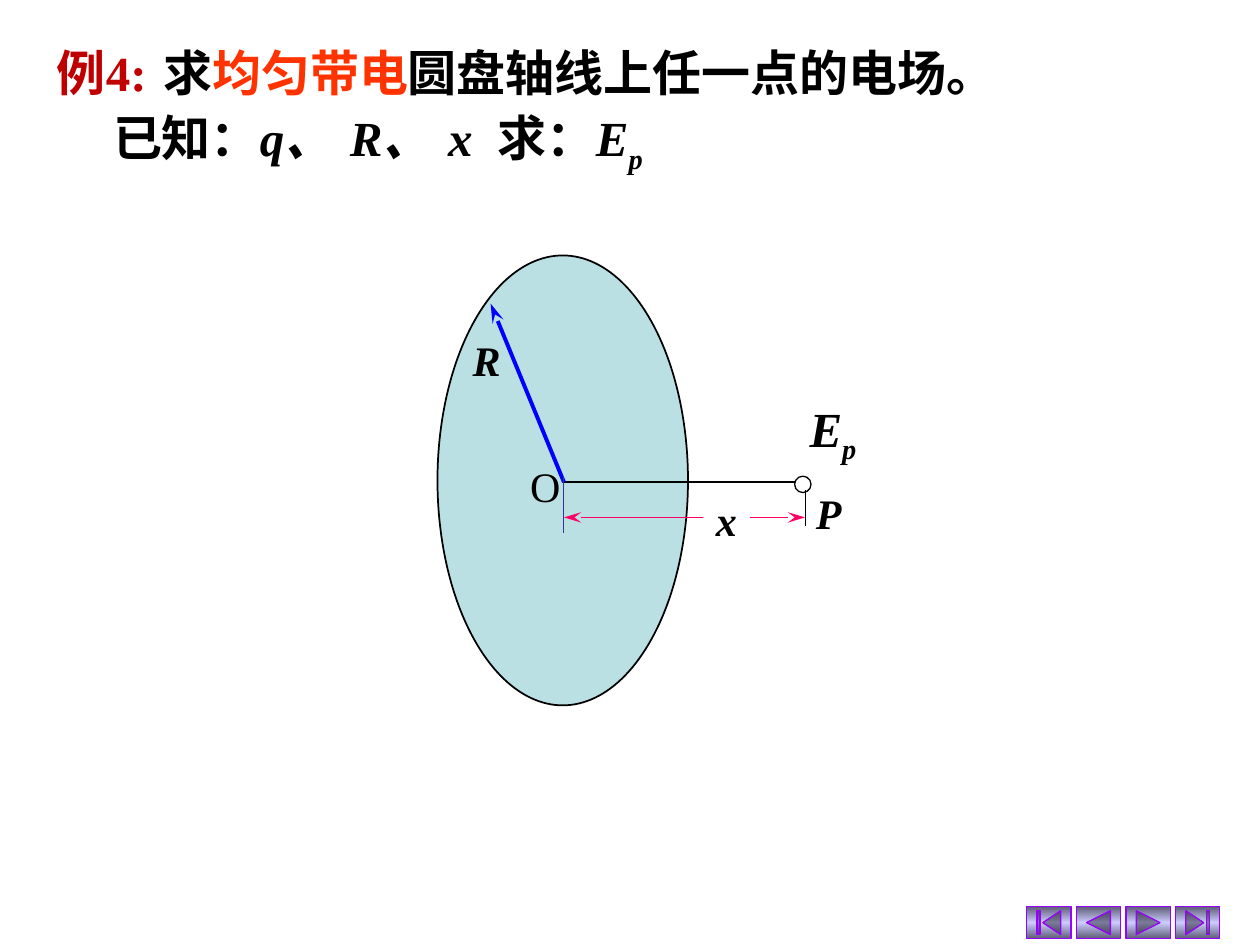
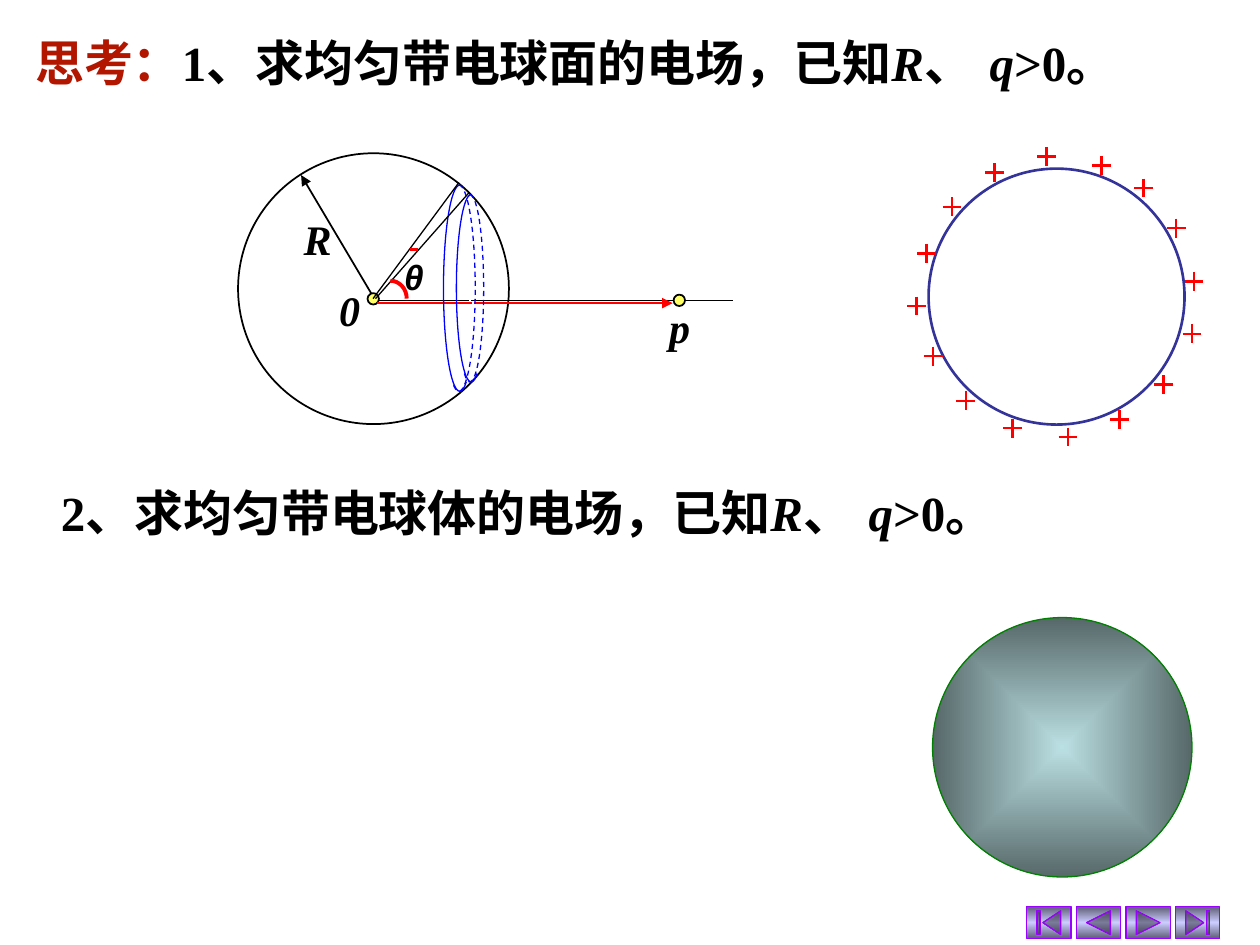
import pptx
import pptx.dml.color
import pptx.enum.dml
import pptx.enum.shapes
import pptx.enum.text
import pptx.oxml
import pptx.oxml.ns
import pptx.util
from lxml import etree

Cm = pptx.util.Cm
Pt = pptx.util.Pt
qn = pptx.oxml.ns.qn
SHAPE = pptx.enum.shapes.MSO_SHAPE

COLORS = {
    "black": "000000", "white": "FFFFFF", "red": "FF0000", "blue": "0000FF",
    "navy": "333399", "pink": "FF0066", "green": "008000", "disc": "BBE0E3",
    "disc_dark": "576869", "dot": "FFFF66", "example": "C00000",
    "emphasis": "FF3300", "question": "B21500", "button": "CCCCFF",
    "button_dark": "5E5E76", "button_line": "9900FF",
}
TIMES = "Times New Roman"
BONUM = "TeX Gyre Bonum"
ITALIC = {"italic": True}
SUB = {"italic": True, "sub": True}
QUARTER_ARC = [(0, -1), (0.55, -1), (1, -0.55), (1, 0)]
RING_ARC = QUARTER_ARC + [(1, 0.55), (0.55, 1), (0, 1), (-0.14, 1), (-0.27, 0.97), (-0.39, 0.91)]
CHARGES = [
    (19.47, 8.08), (18.48, 6.17), (21.53, 8.81), (19.19, 4.17),
    (21.1, 3.15), (18.81, 7.18), (20.41, 8.63), (23.05, 3.79),
    (24.07, 5.67), (22.57, 8.46), (23.45, 7.75), (24.03, 6.73),
    (20.05, 3.48), (18.68, 5.11), (23.71, 4.6), (22.21, 3.33),
]


def rgb(name):
    return pptx.dml.color.RGBColor.from_string(COLORS[name])


def style_line(line, color, width, dashed=False):
    line.color.rgb = rgb(color)
    line.width = Pt(width)
    if dashed:
        line.dash_style = pptx.enum.dml.MSO_LINE.DASH


def add_shape(slide, kind, box, fill=None, line=None, width=1):
    s = slide.shapes.add_shape(kind, *[Cm(v) for v in box])
    s.shadow.inherit = False
    if fill:
        s.fill.solid()
        s.fill.fore_color.rgb = rgb(fill)
    else:
        s.fill.background()
    if line:
        style_line(s.line, line, width)
    else:
        s.line.fill.background()
    return s


def add_circle(slide, x, y, size, fill=None, line="black", width=1):
    return add_shape(slide, SHAPE.OVAL, (x, y, size, size), fill, line, width)


def set_gradient(s, stops, direction):
    marks = "".join(
        f'<a:gs pos="{pos * 1000}"><a:srgbClr val="{COLORS[color]}"/></a:gs>'
        for pos, color in stops)
    gradient = pptx.oxml.parse_xml(
        f'<a:gradFill {pptx.oxml.ns.nsdecls("a")} rotWithShape="1">'
        f'<a:gsLst>{marks}</a:gsLst>{direction}</a:gradFill>')
    spPr = s._element.spPr
    spPr.replace(spPr.find(qn("a:noFill")), gradient)


def add_line(slide, start, end, color="black", width=1, head=None, tail=None):
    points = [Cm(v) for v in (*start, *end)]
    c = slide.shapes.add_connector(pptx.enum.shapes.MSO_CONNECTOR.STRAIGHT, *points)
    style_line(c.line, color, width)
    for tag, arrow in (("a:headEnd", head), ("a:tailEnd", tail)):
        if arrow:
            length = "lg" if arrow == "stealth" else "med"
            etree.SubElement(c.line._get_or_add_ln(), qn(tag), type=arrow, w="med", len=length)
    etree.SubElement(c._element.spPr, qn("a:effectLst"))


def add_arc(slide, outline, center, rx, ry, color="blue", width=0.75, dashed=False):
    x, y = center
    points = [(Cm(x + rx * u), Cm(y + ry * v)) for u, v in outline]
    builder = slide.shapes.build_freeform(*points[0])
    builder.add_line_segments(points[1:], close=False)
    s = builder.convert_to_shape()
    s.shadow.inherit = False
    s.fill.background()
    style_line(s.line, color, width, dashed)
    steps = list(s._element.iter(qn("a:lnTo")))
    for i in range(0, len(steps), 3):
        curve = etree.Element(qn("a:cubicBezTo"))
        steps[i].addprevious(curve)
        for step in steps[i:i + 3]:
            curve.append(step[0])
            step.getparent().remove(step)


def add_run(p, text, size, font=TIMES, color="black", bold=True, italic=False, sub=False):
    r = p.add_run()
    r.text = text
    r.font.size = Pt(size)
    r.font.bold = bold
    r.font.italic = italic
    r.font.color.rgb = rgb(color)
    r.font.name = font
    rPr = r._r.get_or_add_rPr()
    rPr.set("lang", "zh-CN")
    if sub:
        rPr.set("baseline", "-25000")
    etree.SubElement(rPr, qn("a:ea"), typeface=BONUM)


def fill_text(s, paragraphs, size, wrap=False, align="LEFT", spacing=None):
    tf = s.text_frame
    tf.word_wrap = wrap
    tf.auto_size = pptx.enum.text.MSO_AUTO_SIZE.SHAPE_TO_FIT_TEXT
    tf.vertical_anchor = pptx.enum.text.MSO_ANCHOR.TOP
    for i, runs in enumerate(paragraphs):
        p = tf.add_paragraph() if i else tf.paragraphs[0]
        p.alignment = pptx.enum.text.PP_ALIGN[align]
        if spacing:
            p.line_spacing = spacing
        for text, style in runs:
            add_run(p, text, size, **style)
    return tf


def add_text(slide, box, paragraphs, size=28, **layout):
    s = slide.shapes.add_textbox(*[Cm(v) for v in box])
    return fill_text(s, paragraphs, size, **layout)


def add_label(slide, box, text, size=24, align="LEFT", **style):
    add_text(slide, box, [[(text, {**ITALIC, **style})]], size, align=align)


def indent_first_line(p, indent, tab=None):
    pPr = p._p.get_or_add_pPr()
    pPr.set("marL", "0")
    pPr.set("indent", str(Cm(indent)))
    if tab:
        tabs = etree.SubElement(pPr, qn("a:tabLst"))
        etree.SubElement(tabs, qn("a:tab"), pos=str(Cm(tab)), algn="l")


def add_navigation(slide):
    kinds = (SHAPE.ACTION_BUTTON_BEGINNING, SHAPE.ACTION_BUTTON_BACK_OR_PREVIOUS,
             SHAPE.ACTION_BUTTON_FORWARD_OR_NEXT, SHAPE.ACTION_BUTTON_END)
    stops = [(0, "button_dark"), (50, "button"), (100, "button_dark")]
    for i, kind in enumerate(kinds):
        s = add_shape(slide, kind, (20.7 + i, 18.28, 0.89, 0.64),
                      line="button_line", width=0.75)
        set_gradient(s, stops, '<a:lin ang="5400000" scaled="1"/>')


def new_slide(prs):
    slide = prs.slides.add_slide(prs.slide_layouts[6])
    add_navigation(slide)
    return slide


def add_charged_shell(slide):
    add_circle(slide, 18.72, 3.4, 5.16, line="navy", width=1.5)
    arm = 0.19
    for x, y in CHARGES:
        add_line(slide, (x - arm, y), (x + arm, y), "red", 1.5)
        add_line(slide, (x, y - arm), (x, y + arm), "red", 1.5)


def add_question(slide, box, runs):
    given = [("R", ITALIC), ("、 ", {}), ("q", ITALIC), (">0。", {})]
    return add_text(slide, box, [runs + given], wrap=True)


def add_sphere_diagram(slide):
    add_line(slide, (7.57, 6.06), (6.07, 3.53), tail="triangle")
    add_circle(slide, 4.8, 3.09, 5.46)
    add_line(slide, (7.57, 6.06), (9.45, 6.06))
    add_label(slide, (5.87, 4.17, 1.07, 1.27), "R", align="CENTER")
    add_label(slide, (6.58, 5.62, 0.94, 1.27), "0", align="CENTER")
    add_circle(slide, 7.41, 5.91, 0.23, "dot")
    add_line(slide, (7.59, 6.11), (9.52, 6.11), "red", 1.5)
    add_line(slide, (9.5, 6.06), (14.78, 6.06))
    add_circle(slide, 13.58, 5.94, 0.23, "dot")
    add_label(slide, (13.23, 5.95, 0.94, 1.27), "p", align="CENTER")
    add_line(slide, (9.55, 6.11), (13.56, 6.11), "red", 1.5, tail="triangle")
    for x, rx, ry, dashed in ((9.25, 0.33, 2.08, True), (9.47, 0.28, 1.89, True),
                              (9.27, -0.33, 2.08, False), (9.5, -0.3, 1.89, False)):
        add_arc(slide, RING_ARC, (x, 5.81), rx, ry, dashed=dashed)
    add_line(slide, (7.57, 6.02), (9.45, 3.89), width=0.75)
    add_line(slide, (7.52, 6.02), (9.25, 3.68), width=0.75)
    add_arc(slide, QUARTER_ARC, (7.87, 6.02), 0.33, 0.36, "red", 2.25)
    add_label(slide, (7.9, 5.03, 0.89, 1.09), "θ", 20, "CENTER", font="Arial")
    add_line(slide, (8.26, 5.03), (8.43, 5.03), "red", 2.25)


def build_disc_slide(prs):
    slide = new_slide(prs)
    bonum = {"font": BONUM}
    tf = add_text(slide, (0.9, 0.61, 22.91, 2.9), [
        [("例", {"font": BONUM, "color": "example"}), ("4:", {"color": "example"}),
         (" 求", bonum), ("均匀带电", {"font": BONUM, "color": "emphasis"}),
         ("圆盘轴线上任一点的电场。", bonum)],
        [("已知：", bonum), ("q、 R、 x\t", ITALIC), ("求：", bonum),
         ("E", ITALIC), ("p", SUB)],
    ], wrap=True, spacing=1.1)
    indent_first_line(tf.paragraphs[1], 1.13, tab=10.46)

    add_shape(slide, SHAPE.OVAL, (8.82, 5.15, 5.05, 9.07), "disc", "black")
    add_line(slide, (11.37, 9.72), (16.03, 9.72))
    add_line(slide, (11.37, 9.72), (9.89, 6.12), "blue", 2.25, tail="stealth")
    add_label(slide, (9.28, 6.61, 1.07, 1.27), "R")
    add_label(slide, (16.2, 9.71, 1.02, 1.27), "P")
    add_line(slide, (11.37, 10.43), (16.23, 10.43), "pink", head="stealth", tail="stealth")
    distance = add_shape(slide, SHAPE.RECTANGLE, (14.18, 9.85, 0.94, 1.27), "white")
    fill_text(distance, [[("x", ITALIC)]], 24)
    add_line(slide, (11.36, 9.6), (11.36, 10.75), "navy", 0.75)
    add_circle(slide, 16.02, 9.6, 0.33, "white", width=0.75)
    add_line(slide, (16.24, 9.88), (16.24, 10.6), width=0.75)
    add_text(slide, (10.44, 9.15, 2.01, 1.27), [[("O", {"bold": False})]], 24, wrap=True)
    add_text(slide, (16.07, 7.9, 1.5, 1.45), [[("E", ITALIC), ("p", SUB)]])


def build_sphere_slide(prs):
    slide = new_slide(prs)
    ball = add_circle(slide, 18.8, 12.45, 5.23, line="green", width=0.75)
    set_gradient(ball, [(0, "disc"), (100, "disc_dark")],
                 '<a:path path="shape"><a:fillToRect l="50000" t="50000" '
                 'r="50000" b="50000"/></a:path>')
    add_charged_shell(slide)
    add_question(slide, (0.46, 0.53, 22.33, 1.45),
                 [("思考：", {"color": "question"}), ("1、求均匀带电球面的电场，已知", {})])
    tf = add_question(slide, (0.64, 9.6, 19.69, 1.45),
                      [("2、求均匀带电球体的电场，已知", {})])
    indent_first_line(tf.paragraphs[0], 0.34)
    add_sphere_diagram(slide)


def main():
    prs = pptx.Presentation()
    prs.slide_width = Cm(25.4)
    prs.slide_height = Cm(19.05)
    build_disc_slide(prs)
    build_sphere_slide(prs)
    prs.save("out.pptx")


if __name__ == "__main__":
    main()
